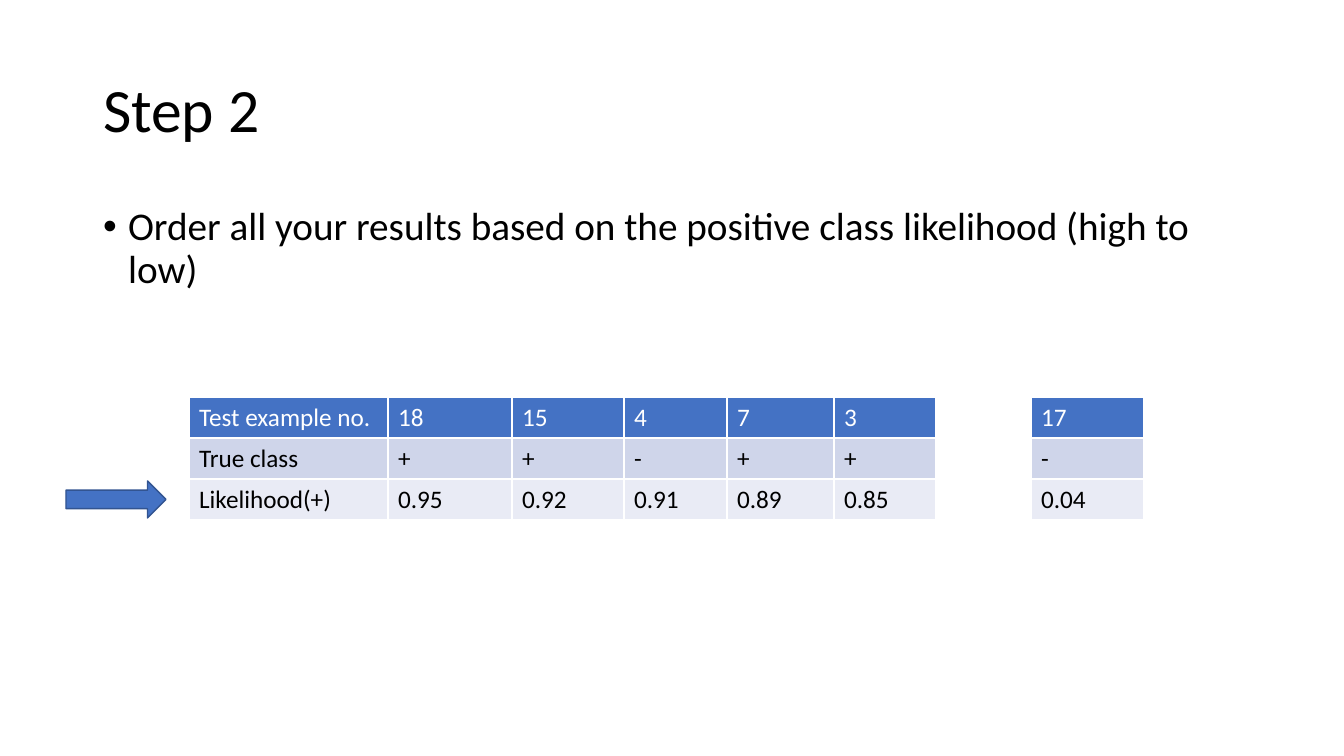
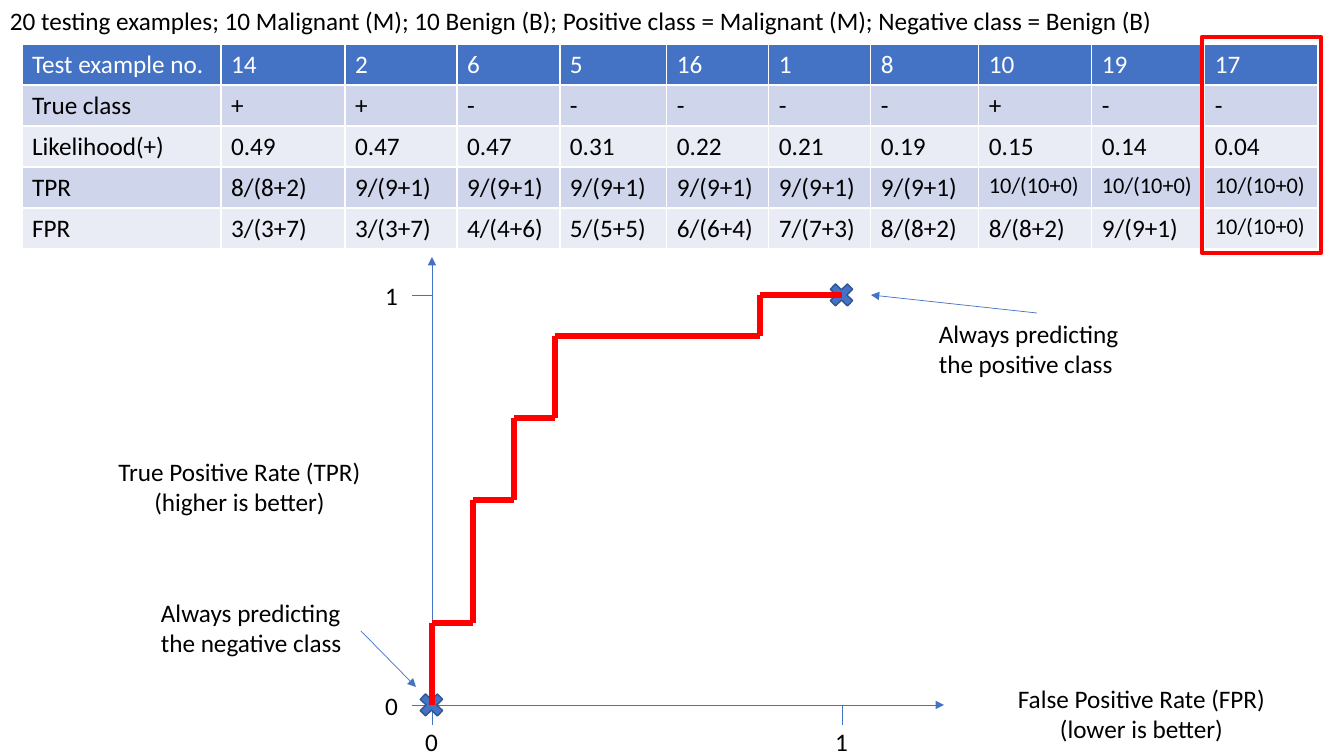
from pptx import Presentation
from pptx.dml.color import RGBColor
from pptx.enum.shapes import MSO_CONNECTOR, MSO_SHAPE
from pptx.enum.text import MSO_ANCHOR, MSO_AUTO_SIZE, PP_ALIGN
from pptx.oxml.ns import qn
from pptx.util import Emu, Pt
from lxml.etree import SubElement

SCALE = 914400 / 100.8
FONT = "Calibri"
COLORS = {
    "blue": "4472C4",
    "outline": "325491",
    "band_dark": "CFD5EA",
    "band_light": "E9EBF5",
    "red": "FF0000",
    "black": "000000",
    "white": "FFFFFF",
}
ROW_HEIGHT = 41
HEADINGS = ["Test example no.", "True class", "Likelihood(+)", "TPR", "FPR"]


def px(length):
    return Emu(round(length * SCALE))


def color(name):
    return RGBColor.from_string(COLORS[name])


def place(item, box):
    item.left, item.top, item.width, item.height = map(px, box)


def add_span(para, text, size=18, tint="black"):
    span = para.add_run()
    span.text = text
    span.font.name = FONT
    span.font.size = Pt(size)
    span.font.bold = False
    span.font.color.rgb = color(tint)


def add_text(page, box, lines, align=PP_ALIGN.LEFT):
    frame = page.shapes.add_textbox(*map(px, box)).text_frame
    frame.word_wrap = True
    for index, line in enumerate(lines):
        para = frame.add_paragraph() if index else frame.paragraphs[0]
        para.alignment = align
        add_span(para, line)


def add_line(page, start, end, tint="blue", width=0.5, arrow=False):
    line = page.shapes.add_connector(
        MSO_CONNECTOR.STRAIGHT, *map(px, (*start, *end)))
    line.line.color.rgb = color(tint)
    line.line.width = Pt(width)
    if arrow:
        SubElement(line.line._get_or_add_ln(), qn("a:tailEnd"), type="triangle")
    SubElement(line._element.spPr, qn("a:effectLst"))


def add_figure(page, preset, box, fill="blue", outline="outline", width=1):
    figure = page.shapes.add_shape(preset, *map(px, box))
    figure.shadow.inherit = False
    if fill:
        figure.fill.solid()
        figure.fill.fore_color.rgb = color(fill)
    else:
        figure.fill.background()
    figure.line.color.rgb = color(outline)
    figure.line.width = Pt(width)


def add_results(page, left, top, widths, rows):
    """Banded table of test results; long fractions are set smaller."""
    box = (left, top, sum(widths), ROW_HEIGHT * len(rows))
    table = page.shapes.add_table(len(rows), len(widths), *map(px, box)).table
    for column, width in zip(table.columns, widths):
        column.width = px(width)
    for number, values in enumerate(rows):
        table.rows[number].height = px(ROW_HEIGHT)
        band = "band_dark" if number % 2 else "band_light"
        for column, value in enumerate(values):
            cell = table.cell(number, column)
            cell.fill.solid()
            cell.fill.fore_color.rgb = color(band if number else "blue")
            add_span(cell.text_frame.paragraphs[0], value,
                     16 if value.startswith("10/") else 18,
                     "black" if number else "white")


def add_heading(page, box, text):
    title = page.shapes.title
    place(title, box)
    frame = title.text_frame
    frame.auto_size = MSO_AUTO_SIZE.NONE
    frame.vertical_anchor = MSO_ANCHOR.MIDDLE
    para = frame.paragraphs[0]
    para.alignment = PP_ALIGN.LEFT
    para.line_spacing = 0.9
    add_span(para, text, 44)


def add_bullets(page, box, items):
    body = page.placeholders[1]
    place(body, box)
    frame = body.text_frame
    frame.auto_size = MSO_AUTO_SIZE.NONE
    for index, item in enumerate(items):
        para = frame.add_paragraph() if index else frame.paragraphs[0]
        para.line_spacing = 0.9
        para.space_before = Pt(10)
        properties = para._p.get_or_add_pPr()
        properties.set("marL", str(px(25)))
        properties.set("indent", str(px(-25)))
        add_span(para, item, 28)


def add_axes(page, box):
    left, top, width, height = box
    right, bottom = left + width, top + height
    add_line(page, (left, bottom), (left, top - 38), arrow=True)
    add_line(page, (left, bottom), (right + 102, bottom), arrow=True)
    # Ticks and their labels
    for label, x, y in (("0", left, bottom), ("1", right, top)):
        add_line(page, (left, y), (left - 20, y))
        add_line(page, (x, bottom + 20), (x, bottom))
        add_text(page, (left - 57, y - 20, 33, 40), [label], PP_ALIGN.CENTER)
        add_text(page, (x - 17, bottom + 16, 33, 40), [label], PP_ALIGN.CENTER)
    # Axis names
    add_text(page, (right + 138, bottom - 27, 323, 71),
             ["False Positive Rate (FPR)", "(lower is better)"], PP_ALIGN.CENTER)
    add_text(page, (left - 354, top + 156, 323, 71),
             ["True Positive Rate (TPR)", "(higher is better)"], PP_ALIGN.CENTER)
    # Crosses at both ends of the curve
    for x, y in ((left, bottom), (right, top)):
        add_figure(page, MSO_SHAPE.MATH_MULTIPLY, (x - 17, y - 16, 33, 32))


def add_curve(page, box, classes):
    """A positive example moves the curve up, a negative one to the right."""
    left, top, width, height = box
    rise = height / classes.count("+")
    run = width / classes.count("-")
    x, y = left, top + height
    for mark in classes:
        end = (x, y - rise) if mark == "+" else (x + run, y)
        add_line(page, (x, y), end, "red", 4.5)
        x, y = end


def build_ordering(deck):
    page = deck.slides.add_slide(deck.slide_layouts[1])
    add_heading(page, (93, 40, 1159, 146), "Step 2")
    add_bullets(page, (93, 202, 1159, 480), [
        "Order all your results based on the positive class likelihood "
        "(high to low)"])
    top = 397
    values = [
        ["18", "15", "4", "7", "3"],
        ["+", "+", "-", "+", "+"],
        ["0.95", "0.92", "0.91", "0.89", "0.85"],
    ]
    rows = [[name, *row] for name, row in zip(HEADINGS, values)]
    add_results(page, 189, top, [199, 124, 112, 103, 107, 102], rows)
    add_results(page, 1031, top, [113], [["17"], ["-"], ["0.04"]])
    add_figure(page, MSO_SHAPE.RIGHT_ARROW,
               (66, top + 2 * ROW_HEIGHT + 2, 100, 37))


def build_curve(deck):
    page = deck.slides.add_slide(deck.slide_layouts[6])
    # Results table
    left, top = 22, 44
    widths = [199, 124, 112, 103, 107, 102, 102, 108, 113, 113, 113]
    values = [
        "14 2 6 5 16 1 8 10 19 17",
        "+ + - - - - - + - -",
        "0.49 0.47 0.47 0.31 0.22 0.21 0.19 0.15 0.14 0.04",
        "8/(8+2)" + " 9/(9+1)" * 6 + " 10/(10+0)" * 3,
        "3/(3+7) 3/(3+7) 4/(4+6) 5/(5+5) 6/(6+4) 7/(7+3) 8/(8+2) 8/(8+2) "
        "9/(9+1) 10/(10+0)",
    ]
    rows = [[name, *row.split()] for name, row in zip(HEADINGS, values)]
    add_results(page, left, top, widths, rows)
    add_text(page, (0, 0, 1186, 40), [
        "20 testing examples; 10 Malignant (M); 10 Benign (B); "
        "Positive class = Malignant (M); Negative class = Benign (B)"])

    # Plot
    plot = (432, 295, 410, 410)
    add_axes(page, plot)
    add_text(page, (151, 592, 216, 71), ["Always predicting the negative class"])
    add_line(page, (361, 631), (416, 687), arrow=True)
    add_text(page, (929, 313, 216, 71), ["Always predicting the positive class"])
    add_line(page, (1037, 313), (871, 295), arrow=True)
    add_curve(page, plot, "++-+++-++-++-----+--")

    # Frame around the last column
    margin = 3
    last = left + sum(widths[:-1])
    add_figure(page, MSO_SHAPE.RECTANGLE,
               (last - margin, top - 7, widths[-1] + 2 * margin,
                ROW_HEIGHT * len(rows) + 11), None, "red", 3)


deck = Presentation()
deck.slide_width, deck.slide_height = px(1344), px(756)
build_ordering(deck)
build_curve(deck)
deck.save("out.pptx")
